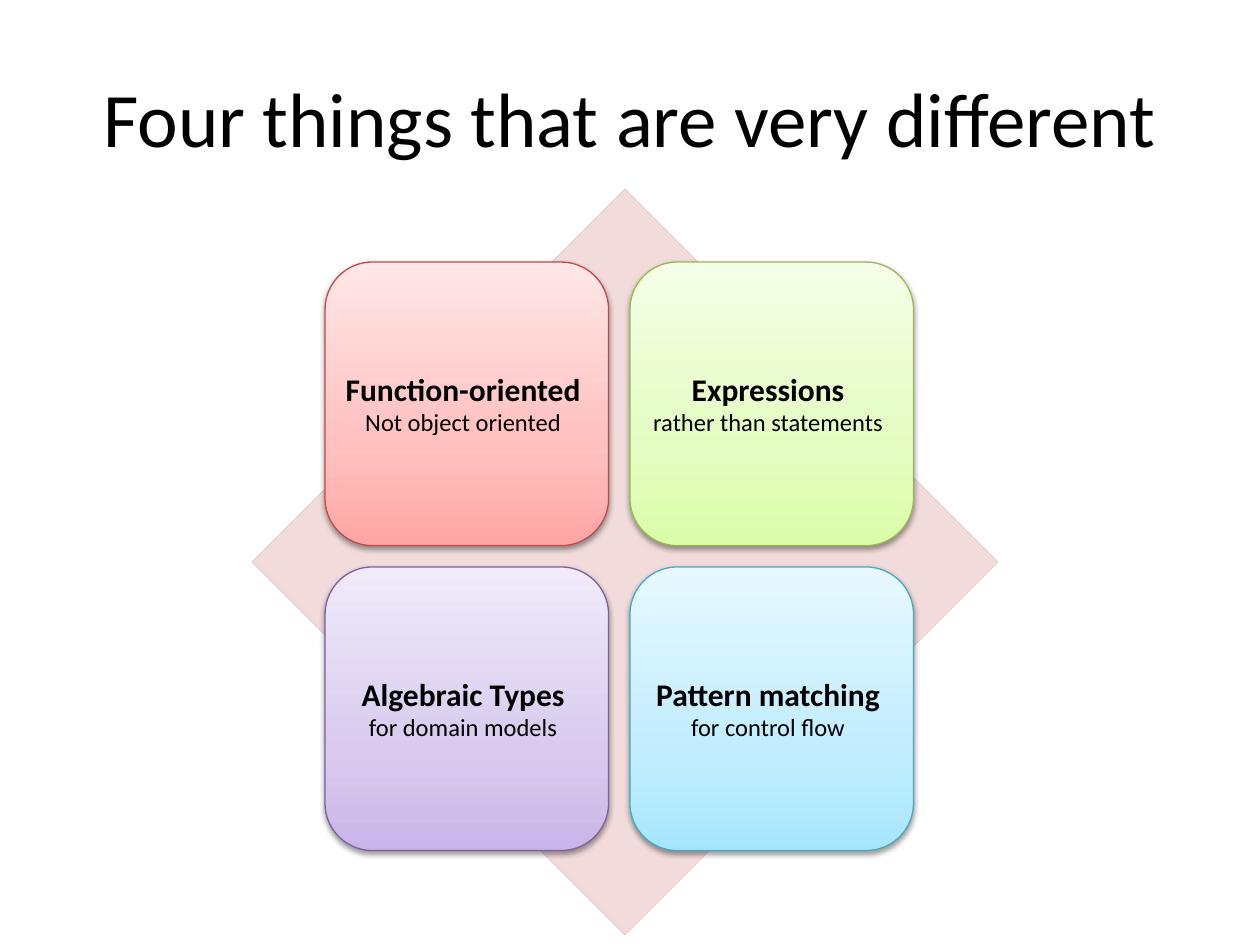
from copy import deepcopy

from lxml.etree import SubElement
from pptx import Presentation
from pptx.dml.color import RGBColor
from pptx.enum.shapes import MSO_SHAPE
from pptx.enum.text import MSO_ANCHOR, PP_ALIGN
from pptx.oxml.ns import qn
from pptx.util import Inches, Pt

FONT = "Calibri"
BLACK = RGBColor(0x00, 0x00, 0x00)
PALE = RGBColor(0xF2, 0xDC, 0xDB)
ROSE = RGBColor(0xE6, 0xB9, 0xB8)
# Each tone: the line colour, then the gradient from bottom to top
RED = (RGBColor(0xBF, 0x4C, 0x48), RGBColor(0xFF, 0xA6, 0xA5),
       RGBColor(0xFF, 0xC0, 0xBF), RGBColor(0xFF, 0xE7, 0xE7))
GREEN = (RGBColor(0x98, 0xB9, 0x55), RGBColor(0xDA, 0xFD, 0xA7),
         RGBColor(0xE4, 0xFC, 0xC2), RGBColor(0xF5, 0xFF, 0xE7))
PURPLE = (RGBColor(0x7D, 0x60, 0xA0), RGBColor(0xC9, 0xB5, 0xE8),
          RGBColor(0xD8, 0xCB, 0xEE), RGBColor(0xF0, 0xEA, 0xF9))
BLUE = (RGBColor(0x46, 0xAA, 0xC5), RGBColor(0xA7, 0xE6, 0xFF),
        RGBColor(0xC1, 0xED, 0xFF), RGBColor(0xE7, 0xF8, 0xFF))

STOPS = (0, 0.35, 1)
LEFT, TOP, SIDE, GAP = 2.58, 2.08, 2.25, 0.17
CARDS = [
    ("Function-oriented", "Not object oriented", RED),
    ("Expressions", "rather than statements", GREEN),
    ("Algebraic Types", "for domain models", PURPLE),
    ("Pattern matching", "for control flow", BLUE),
]


def style(par, size, bold=False):
    par.alignment = PP_ALIGN.CENTER
    for run in par.runs:
        font = run.font
        font.name, font.size, font.bold = FONT, Pt(size), bold
        font.color.rgb = BLACK


def add_title(slide, text):
    title = slide.shapes.title
    title.left, title.top = Inches(0.5), Inches(0.3)
    title.width, title.height = Inches(9), Inches(1.25)
    frame = title.text_frame
    frame.text = text
    frame.vertical_anchor = MSO_ANCHOR.MIDDLE
    style(frame.paragraphs[0], 44)


def add_block(slide, kind, left, top, side, color, width):
    """Add an outlined square shape without a shadow."""
    block = slide.shapes.add_shape(
        kind, Inches(left), Inches(top), Inches(side), Inches(side))
    block.shadow.inherit = False
    block.line.color.rgb = color
    block.line.width = Pt(width)
    return block


def shade(shape, colors):
    """Fill with a three-stop gradient that runs upwards."""
    fill = shape.fill
    fill.gradient()
    fill.gradient_angle = 90
    stops = shape._element.spPr.find(".//" + qn("a:gsLst"))
    stops.append(deepcopy(stops[0]))
    for stop, place, color in zip(fill.gradient_stops, STOPS, colors):
        stop.position = place
        stop.color.rgb = color


def add_shadow(shape):
    effects = shape._element.spPr.find(qn("a:effectLst"))
    shadow = SubElement(
        effects, qn("a:outerShdw"), blurRad=str(Pt(3.1)), dist=str(Pt(1.6)),
        dir="5400000", rotWithShape="0")
    color = SubElement(shadow, qn("a:srgbClr"), val=str(BLACK))
    SubElement(color, qn("a:alpha"), val="38000")


def add_card(slide, left, top, head, note, tone):
    line, *colors = tone
    card = add_block(slide, MSO_SHAPE.ROUNDED_RECTANGLE,
                     left, top, SIDE, line, 0.75)
    shade(card, colors)
    add_shadow(card)
    frame = card.text_frame
    frame.word_wrap = True
    frame.vertical_anchor = MSO_ANCHOR.MIDDLE
    frame.margin_left = frame.margin_top = Inches(0.04)
    frame.margin_right, frame.margin_bottom = Inches(0.1), Inches(0.05)
    frame.text = f"{head}\n{note}"
    style(frame.paragraphs[0], 18, bold=True)
    style(frame.paragraphs[1], 14)


def main():
    deck = Presentation()
    deck.slide_width, deck.slide_height = Inches(10), Inches(7.5)
    slide = deck.slides.add_slide(deck.slide_layouts[5])
    add_title(slide, "Four things that are very different")
    diamond = add_block(slide, MSO_SHAPE.DIAMOND, 2, 1.5, 5.92, ROSE, 0.25)
    diamond.fill.solid()
    diamond.fill.fore_color.rgb = PALE
    for i, card in enumerate(CARDS):
        row, col = divmod(i, 2)
        add_card(slide, LEFT + col * (SIDE + GAP),
                 TOP + row * (SIDE + GAP), *card)
    deck.save("out.pptx")


if __name__ == "__main__":
    main()
